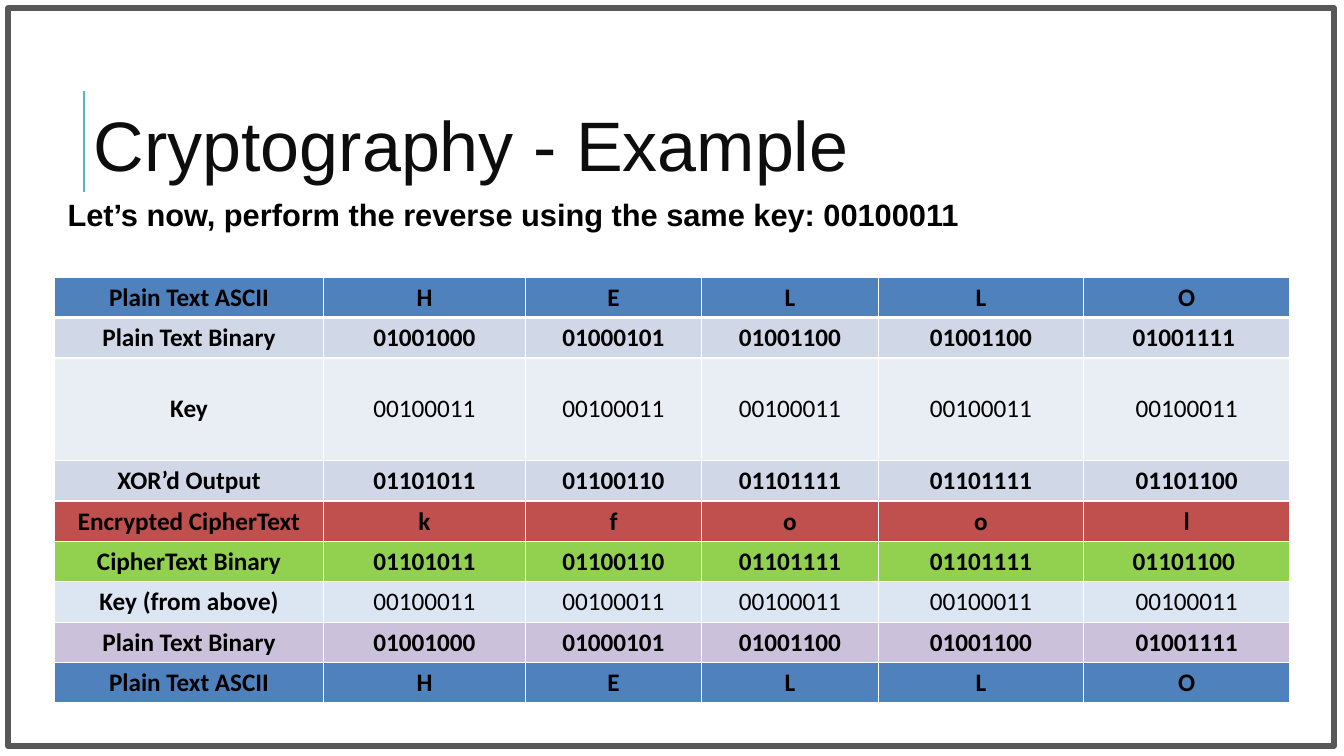
from pptx import Presentation
from pptx.dml.color import RGBColor
from pptx.enum import shapes, text
from pptx.oxml.xmlchemy import OxmlElement
from pptx.util import Inches, Pt

COLORS = {
    "frame": "585858", "accent": "57B6C0", "title": "0D0D0D", "black": "000000",
    "white": "FFFFFF", "blue": "4F81BD", "mist": "D0D8E8", "pale": "E9EDF4",
    "red": "C0504D", "green": "92D050", "sky": "DCE6F2", "lilac": "CCC1DA",
}
HELLO = ["H", "E", "L", "L", "O"]
PLAIN = ["01001000", "01000101", "01001100", "01001100", "01001111"]
KEY = ["00100011"] * 5
CIPHER = ["01101011", "01100110", "01101111", "01101111", "01101100"]
# Label, values, fill, whether the values are bold
ROWS = [
    ("Plain Text ASCII", HELLO, "blue", True),
    ("Plain Text Binary", PLAIN[:-1] + [PLAIN[-1] + " "], "mist", True),
    ("Key", KEY, "pale", False),
    ("XOR’d Output", CIPHER, "mist", True),
    ("Encrypted CipherText", list("kfool"), "red", True),
    ("CipherText Binary", CIPHER[:-1] + [CIPHER[-1] + " "], "green", True),
    ("Key (from above)", KEY, "sky", False),
    ("Plain Text Binary", PLAIN, "lilac", True),
    ("Plain Text ASCII", HELLO, "blue", True),
]
COLUMN_WIDTHS = [2.67, 2, 1.75, 1.75, 2.04, 2.04]
ROW_HEIGHT, KEY_ROW_HEIGHT = 0.4, 1.02


def color(name):
    return RGBColor.from_string(COLORS[name])


def write(frame, words, size, font="Arial", fill="black", bold=False,
          align=text.PP_ALIGN.LEFT):
    paragraph = frame.paragraphs[0]
    paragraph.alignment = align
    run = paragraph.add_run()
    run.text = words
    run.font.size, run.font.name, run.font.bold = Pt(size), font, bold
    run.font.color.rgb = color(fill)


def add_text(slide, box, words, anchor=text.MSO_ANCHOR.TOP, **style):
    frame = slide.shapes.add_textbox(*map(Inches, box)).text_frame
    frame.word_wrap = True
    frame.vertical_anchor = anchor
    frame.margin_left = frame.margin_top = frame.margin_right = frame.margin_bottom = 0
    write(frame, words, **style)


def add_frame(slide, box):
    """Draw the unfilled slide border with rounded line joins."""
    shape = slide.shapes.add_shape(shapes.MSO_SHAPE.RECTANGLE, *map(Inches, box))
    shape.shadow.inherit = False
    shape.fill.background()
    shape.line.color.rgb = color("frame")
    shape.line.width = Pt(4)
    shape.line._get_or_add_ln().append(OxmlElement("a:round"))


def add_rule(slide, x, top, bottom):
    rule = slide.shapes.add_connector(
        shapes.MSO_CONNECTOR.STRAIGHT, Inches(x), Inches(top), Inches(x), Inches(bottom))
    rule.line.color.rgb = color("accent")
    rule.line.width = Pt(1.5)
    rule._element.spPr.append(OxmlElement("a:effectLst"))


def set_borders(cell, bottom_width):
    """Draw white borders; they must come before the cell's fill in the XML."""
    properties = cell._tc.get_or_add_tcPr()
    for index, side in enumerate(["lnL", "lnR", "lnT", "lnB"]):
        line = OxmlElement(f"a:{side}")
        line.set("w", str(Pt(bottom_width if side == "lnB" else 1)))
        fill = OxmlElement("a:solidFill")
        tint = OxmlElement("a:srgbClr")
        tint.set("val", COLORS["white"])
        fill.append(tint)
        line.append(fill)
        properties.insert(index, line)


def add_cipher_table(slide, left, top):
    heights = [KEY_ROW_HEIGHT if row[0] == "Key" else ROW_HEIGHT for row in ROWS]
    table = slide.shapes.add_table(
        len(ROWS), len(COLUMN_WIDTHS), Inches(left), Inches(top),
        Inches(sum(COLUMN_WIDTHS)), Inches(sum(heights))).table
    for column, width in zip(table.columns, COLUMN_WIDTHS):
        column.width = Inches(width)
    for row, height in zip(table.rows, heights):
        row.height = Inches(height)
    for r, (label, values, fill, bold) in enumerate(ROWS):
        for c, words in enumerate([label] + values):
            cell = table.cell(r, c)
            cell.fill.solid()
            cell.fill.fore_color.rgb = color(fill)
            set_borders(cell, bottom_width=3 if r == 0 else 1)
            if label.startswith("Key"):
                cell.vertical_anchor = text.MSO_ANCHOR.MIDDLE
            write(cell.text_frame, words, size=18, font="Calibri",
                  bold=bold or c == 0, align=text.PP_ALIGN.CENTER)


def main():
    presentation = Presentation()
    presentation.slide_width, presentation.slide_height = Inches(13.33), Inches(7.5)
    slide = presentation.slides.add_slide(presentation.slide_layouts[6])
    add_rule(slide, 0.83, 0.9, 1.9)
    add_frame(slide, (0.08, 0.08, 13.15, 7.32))
    add_text(slide, (0.93, 1, 11.47, 0.84), "Cryptography - Example",
             anchor=text.MSO_ANCHOR.MIDDLE, size=50, fill="title")
    add_text(slide, (0.67, 1.94, 12.5, 0.5),
             "Let’s now, perform the reverse using the same key: 00100011",
             size=22, bold=True)
    add_cipher_table(slide, 0.54, 2.75)
    presentation.save("out.pptx")


if __name__ == "__main__":
    main()
